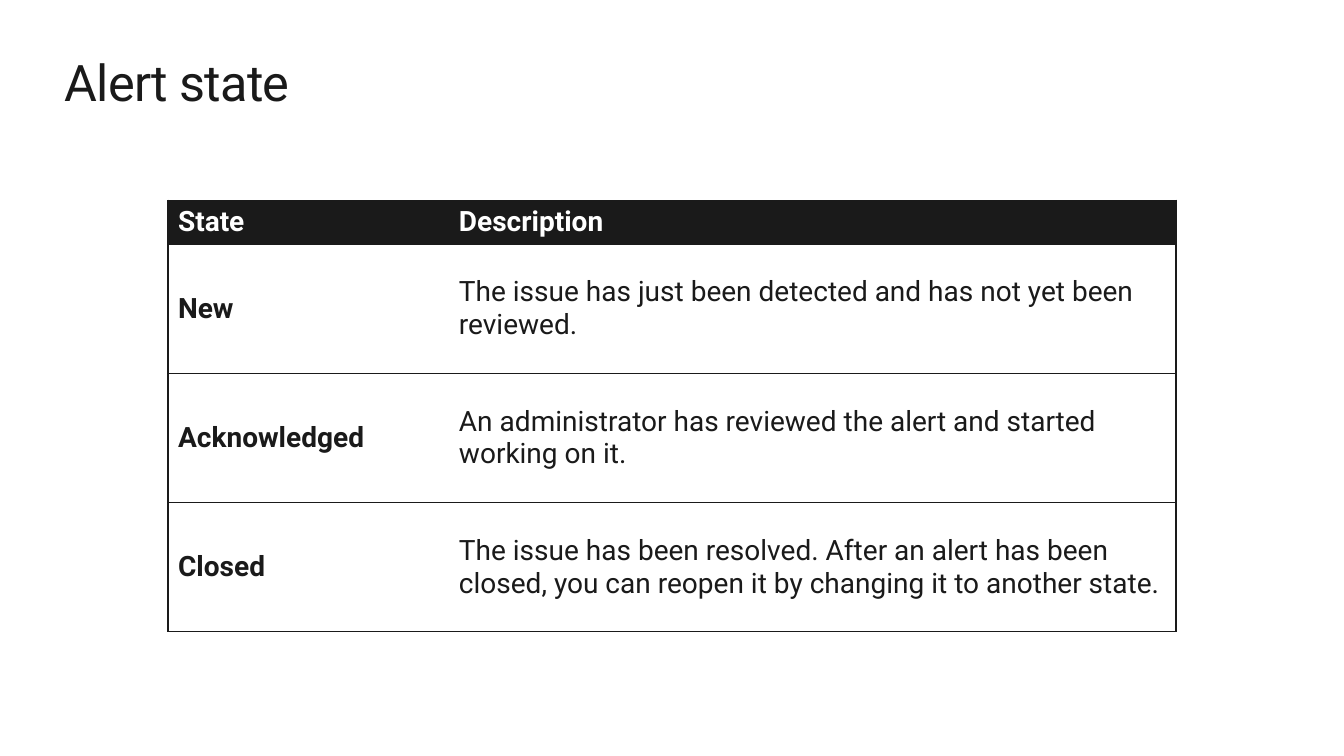
from dataclasses import dataclass

from pptx import Presentation
from pptx.dml.color import RGBColor as Color
from pptx.enum.text import MSO_ANCHOR as Anchor
from pptx.oxml.ns import qn
from pptx.util import Inches, Pt
from lxml.etree import SubElement


@dataclass(frozen=True)
class Theme:
    """Colours, font and type sizes of the slide."""
    font: str = "Roboto"
    ink: str = "1A1A1A"
    paper: str = "FFFFFF"
    title_size: int = 36
    table_size: int = 20
    border_width: int = 1


STATES = [
    ("State", "Description"),
    ("New", "The issue has just been detected and has not yet been reviewed."),
    ("Acknowledged", "An administrator has reviewed the alert and started working on it."),
    ("Closed", "The issue has been resolved. After an alert has been closed, "
               "you can reopen it by changing it to another state."),
]


def write(frame, text, *, font, size, color, bold=False, spacing=None):
    """Put one formatted line of text in a text frame."""
    span = frame.paragraphs[0].add_run()
    span.text = text
    span.font.name = font
    span.font.size = Pt(size)
    span.font.bold = bold
    span.font.color.rgb = Color.from_string(color)
    if spacing is not None:
        span.font._element.set("spc", str(round(spacing * 100)))


class Page:
    """Draws elements on a slide, placed by shares of its size."""

    def __init__(self, deck, theme):
        self.deck = deck
        self.theme = theme
        self.slide = deck.slides.add_slide(deck.slide_layouts[6])

    def across(self, share):
        """Turn a share of the slide's width into a length."""
        return round(self.deck.slide_width * share)

    def down(self, share):
        """Turn a share of the slide's height into a length."""
        return round(self.deck.slide_height * share)

    def area(self, left, top, width, height):
        """Turn four shares into a position and a size."""
        return self.across(left), self.down(top), self.across(width), self.down(height)

    def title(self, text, place):
        """Add the heading without inner margins."""
        frame = self.slide.shapes.add_textbox(*self.area(*place)).text_frame
        frame.word_wrap = True
        frame.margin_left = frame.margin_right = 0
        frame.margin_top = frame.margin_bottom = 0
        write(frame, text, font=self.theme.font, size=self.theme.title_size,
              color=self.theme.ink, spacing=-0.5)

    def border(self, cell, edges):
        """Draw the named edges of a cell and clear the others."""
        properties = cell._tc.get_or_add_tcPr()
        for edge in "LRTB":
            line = SubElement(properties, qn(f"a:ln{edge}"), w=str(Pt(self.theme.border_width)))
            if edge in edges:
                fill = SubElement(line, qn("a:solidFill"))
                SubElement(fill, qn("a:srgbClr"), val=self.theme.ink)
            else:
                SubElement(line, qn("a:noFill"))

    def cell(self, cell, text, *, header, first):
        """Fill, border and label one table cell."""
        theme = self.theme
        self.border(cell, "LTB" if first else "RTB")
        cell.fill.solid()
        cell.fill.fore_color.rgb = Color.from_string(theme.ink if header else theme.paper)
        cell.vertical_anchor = Anchor.MIDDLE
        write(cell.text_frame, text, font=theme.font, size=theme.table_size,
              color=theme.paper if header else theme.ink, bold=header or first)

    def table(self, rows, left, top, columns, header_height, row_height):
        """Add a table with a dark header and a bold first column."""
        heights = [header_height] + [row_height] * (len(rows) - 1)
        place = self.area(left, top, sum(columns), sum(heights))
        table = self.slide.shapes.add_table(len(rows), len(columns), *place).table
        table.horz_banding = False
        for column, width in zip(table.columns, columns):
            column.width = self.across(width)
        for index, (row, height) in enumerate(zip(rows, heights)):
            table.rows[index].height = self.down(height)
            for position, text in enumerate(row):
                self.cell(table.cell(index, position), text,
                          header=index == 0, first=position == 0)


def main():
    """Build and save the alert state slide."""
    deck = Presentation()
    deck.slide_width, deck.slide_height = Inches(13.33), Inches(7.5)
    page = Page(deck, Theme())
    page.title("Alert state", (0.048, 0.067, 0.904, 0.081))
    page.table(STATES, left=0.125, top=0.265, columns=(0.209, 0.541),
               header_height=0.057, row_height=0.171)
    deck.save("out.pptx")


if __name__ == "__main__":
    main()
